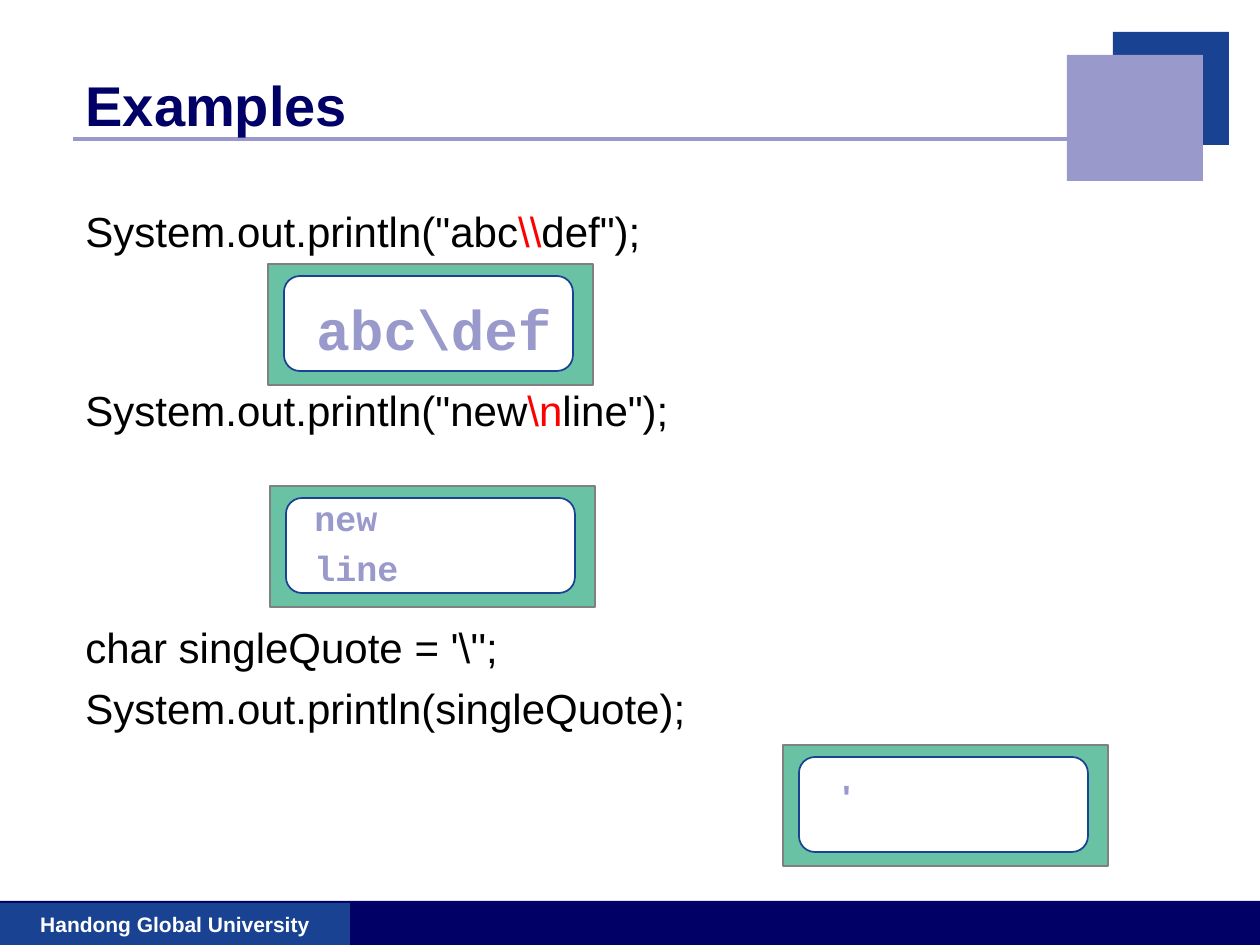
from lxml import etree
from pptx import Presentation
from pptx.dml.color import RGBColor
from pptx.enum.shapes import MSO_CONNECTOR, MSO_SHAPE
from pptx.enum.text import MSO_ANCHOR, PP_ALIGN
from pptx.oxml.ns import qn
from pptx.util import Pt

RECT, ROUNDED = MSO_SHAPE.RECTANGLE, MSO_SHAPE.ROUNDED_RECTANGLE
STRAIGHT = MSO_CONNECTOR.STRAIGHT
TOP, MIDDLE, BOTTOM = MSO_ANCHOR.TOP, MSO_ANCHOR.MIDDLE, MSO_ANCHOR.BOTTOM
LEFT, CENTER = PP_ALIGN.LEFT, PP_ALIGN.CENTER

NAVY = RGBColor(0x00, 0x00, 0x66)
BLUE = RGBColor(0x19, 0x42, 0x93)
LAVENDER = RGBColor(0x99, 0x99, 0xCC)
GREEN = RGBColor(0x6A, 0xC2, 0xA5)
GRAY = RGBColor(0x80, 0x80, 0x80)
RED = RGBColor(0xFF, 0x00, 0x00)
BLACK = RGBColor(0x00, 0x00, 0x00)
WHITE = RGBColor(0xFF, 0xFF, 0xFF)

PX = 914400 / 126


def emu(*lengths):
    return [round(length * PX) for length in lengths]


def write(shape, paragraphs, size, color, font="Arial", bold=True,
          align=LEFT, anchor=TOP, line_spacing=1.0):
    frame = shape.text_frame
    frame.word_wrap = True
    frame.vertical_anchor = anchor
    for index, (space_before, runs) in enumerate(paragraphs):
        paragraph = frame.add_paragraph() if index else frame.paragraphs[0]
        paragraph.alignment = align
        paragraph.line_spacing = line_spacing
        paragraph.space_before = Pt(space_before)
        for text, run_color in runs:
            run = paragraph.add_run()
            run.text = text
            run.font.name = font
            run.font.size = Pt(size)
            run.font.bold = bold
            run.font.color.rgb = run_color or color


prs = Presentation()
prs.slide_width, prs.slide_height = emu(1260, 945)
slide = prs.slides.add_slide(prs.slide_layouts[5])
shapes = slide.shapes

rule = shapes.add_connector(STRAIGHT, *emu(73, 139, 1071, 139))
rule.line.color.rgb = LAVENDER
rule.line.width = Pt(2)
etree.SubElement(rule._element.spPr, qn("a:effectLst"))

blocks = [
    (RECT, (0, 901, 1260, 44), NAVY, None),
    (RECT, (1113, 32, 116, 113), BLUE, None),
    (RECT, (1067, 55, 136, 126), LAVENDER, None),
]
for left, top in [(268, 264), (270, 486), (783, 745)]:
    blocks.append((RECT, (left, top, 325, 121), GREEN, GRAY))
    blocks.append((ROUNDED, (left + 16, top + 12, 289, 95), WHITE, BLUE))
blocks.append((RECT, (0, 903, 350, 42), BLUE, None))

for kind, box, fill, outline in blocks:
    block = shapes.add_shape(kind, *emu(*box))
    block.shadow.inherit = False
    block.fill.solid()
    block.fill.fore_color.rgb = fill
    if outline is None:
        block.line.fill.background()
    else:
        block.line.color.rgb = outline
        block.line.width = Pt(1)

university = block
write(university, [(0, [("Handong Global University", None)])], 12, WHITE,
      align=CENTER, anchor=MIDDLE)

title = shapes.title
title.left, title.top, title.width, title.height = emu(73, 39, 966, 105)
write(title, [(0, [("Examples", None)])], 32, NAVY, anchor=BOTTOM)
shapes._spTree.append(title._element)

statements = shapes.add_textbox(*emu(73, 199, 1124, 651))
write(statements, [
    (0, [('System.out.println("abc', None), ("\\\\", RED), ('def");', None)]),
    (73.5, [('System.out.println("new', None), ("\\n", RED), ('line");', None)]),
    (106.7, [("char singleQuote = '\\'';", None)]),
    (6, [("System.out.println(singleQuote);", None)]),
], 24, BLACK, bold=False)

backslash_output = shapes.add_textbox(*emu(304, 296, 318, 76))
write(backslash_output, [(0, [("abc\\def", None)])], 32, LAVENDER,
      font="Courier New", line_spacing=0.9)

newline_output = shapes.add_textbox(*emu(302, 490, 310, 161))
write(newline_output, [(0, [("new", None)]), (4.8, [("line", None)])], 20,
      LAVENDER, font="Courier New")

quote_output = shapes.add_textbox(*emu(789, 769, 115, 54))
write(quote_output, [(0, [("'", None)])], 20, LAVENDER, align=CENTER)

prs.save("out.pptx")
